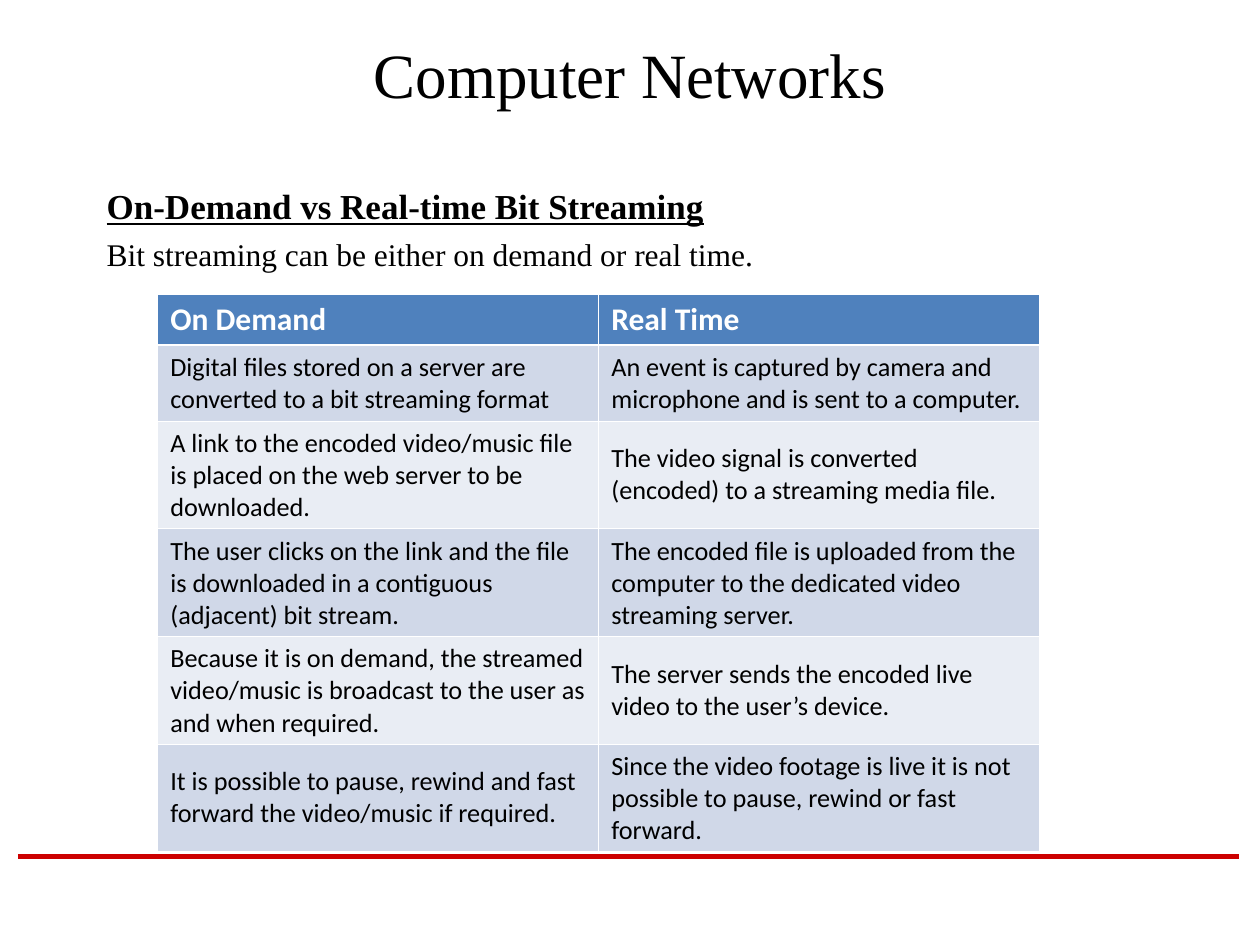
from lxml import etree
from pptx import Presentation
from pptx.dml.color import RGBColor
from pptx.enum.text import MSO_ANCHOR, PP_ALIGN
from pptx.oxml.ns import qn
from pptx.util import Cm, Pt

MIDDLE = MSO_ANCHOR.MIDDLE
CENTER = PP_ALIGN.CENTER
SERIF, SANS = "Times New Roman", "Calibri"


def color(code):
    return RGBColor.from_string(code)


def style(para, size, face, code="000000", bold=False, before=0):
    para.space_before = Pt(before)
    font = para.runs[0].font
    font.size, font.name, font.bold = Pt(size), face, bold
    font.color.rgb = color(code)


prs = Presentation()
prs.slide_width, prs.slide_height = Cm(25.4), Cm(19.05)
slide = prs.slides.add_slide(prs.slide_layouts[6])
shapes = slide.shapes

# Red footer rule
rule = shapes.add_connector(1, Cm(0.36), Cm(17.27), Cm(24.97), Cm(17.27))
rule.line.color.rgb = color("CC0000")
rule.line.width = Pt(3)
etree.SubElement(rule._element.spPr, qn("a:effectLst"))

# Title
title = shapes.add_textbox(Cm(1.9), Cm(0.43), Cm(21.6), Cm(2.11)).text_frame
title.word_wrap = True
title.vertical_anchor = MIDDLE
title.text = "Computer Networks"
title.paragraphs[0].alignment = CENTER
style(title.paragraphs[0], 36, SERIF)

# Heading and introduction
body = shapes.add_textbox(Cm(1.9), Cm(3.6), Cm(21.6), Cm(13.77)).text_frame
body.word_wrap = True
body.text = ("On-Demand vs Real-time Bit Streaming\n"
             "Bit streaming can be either on demand or real time.")
head, intro = body.paragraphs
style(head, 20, SERIF, bold=True, before=5)
head.runs[0].font.underline = True
style(intro, 18, SERIF, before=4.5)
for para in body.paragraphs:
    props = para._p.get_or_add_pPr()
    props.set("marL", str(Cm(0.95)))
    props.set("indent", str(Cm(-0.95)))

# Comparison table
rows = [
    ("On Demand", "Real Time"),
    ("Digital files stored on a server are converted to a bit streaming format",
     "An event is captured by camera and microphone and is sent to a computer."),
    ("A link to the encoded video/music file is placed on the web server to be downloaded.",
     "The video signal is converted (encoded) to a streaming media file."),
    ("The user clicks on the link and the file is downloaded in a contiguous (adjacent) bit stream.",
     "The encoded file is uploaded from the computer to the dedicated video streaming server."),
    ("Because it is on demand, the streamed video/music is broadcast to the user as and when required.",
     "The server sends the encoded live video to the user’s device."),
    ("It is possible to pause, rewind and fast forward the video/music if required.",
     "Since the video footage is live it is not possible to pause, rewind or fast forward."),
]
highs = [1.02, 1.54] + [2.17] * 4
table = shapes.add_table(len(rows), 2, Cm(3.18), Cm(5.93),
                         Cm(17.78), Cm(sum(highs))).table
for col in table.columns:
    col.width = Cm(8.89)

for r, (texts, high) in enumerate(zip(rows, highs)):
    table.rows[r].height = Cm(high)
    for c, text in enumerate(texts):
        cell = table.cell(r, c)
        cell.text = text
        cell.vertical_anchor = MIDDLE
        para = cell.text_frame.paragraphs[0]
        if r == 0:
            style(para, 18, SANS, "FFFFFF", bold=True, before=4.5)
            fill = "4F81BD"
        else:
            style(para, 15, SANS, before=3.7)
            fill = "D0D8E8" if r % 2 else "E9EDF4"

        # White borders, thicker under the header row
        props = cell._tc.get_or_add_tcPr()
        for side in "LRTB":
            thick = (r, side) in ((0, "B"), (1, "T"))
            edge = etree.SubElement(props, qn(f"a:ln{side}"),
                                    w=str(Pt(1.47 if thick else 0.45)))
            solid = etree.SubElement(edge, qn("a:solidFill"))
            etree.SubElement(solid, qn("a:srgbClr"), val="FFFFFF")
        cell.fill.solid()
        cell.fill.fore_color.rgb = color(fill)

prs.save("out.pptx")
